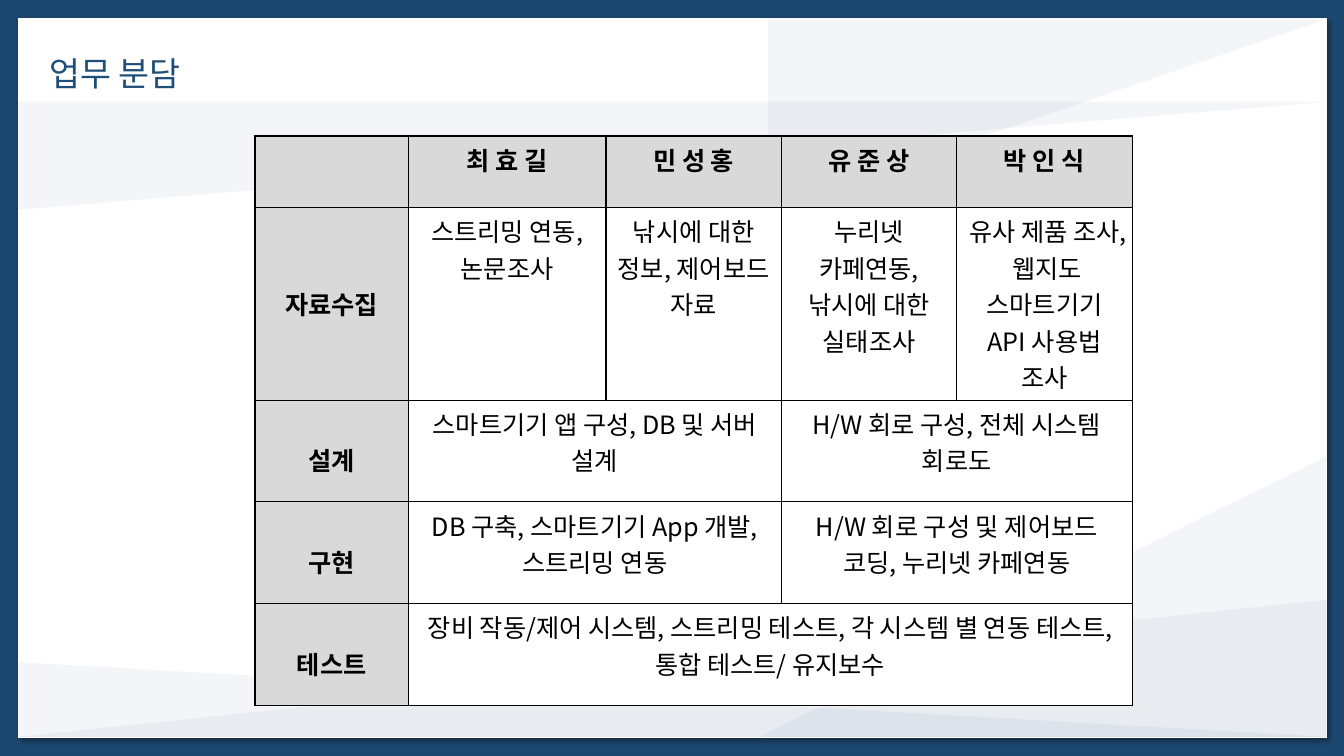
from pptx import Presentation
from pptx.dml.color import RGBColor
from pptx.enum.shapes import MSO_SHAPE as Shape
from pptx.enum.text import MSO_ANCHOR as Anchor, PP_ALIGN as Align
from pptx.oxml import parse_xml
from pptx.oxml.ns import nsdecls, qn
from pptx.util import Inches, Pt

FONT = "Noto Sans CJK KR"
NAVY = "1F4E79"


def paint(color_owner, color):
    if hasattr(color_owner, "solid"):
        color_owner.solid()
        color_owner = color_owner.fore_color
    color_owner.rgb = RGBColor.from_string(color)


def format_text(text_frame, size, color, bold, align):
    for paragraph in text_frame.paragraphs:
        paragraph.alignment = align
        for run in paragraph.runs:
            run.font.size = Pt(size)
            run.font.bold = bold
            run.font.name = FONT
            paint(run.font.color, color)
            run.font._element.append(
                parse_xml(f'<a:ea {nsdecls("a")} typeface="{FONT}"/>'))


presentation = Presentation()
presentation.slide_width = Inches(13.33)
presentation.slide_height = Inches(7.5)
slide = presentation.slides.add_slide(presentation.slide_layouts[5])
paint(slide.background.fill, "1C476E")

panel = slide.shapes.add_shape(
    Shape.RECTANGLE, Inches(0.18), Inches(0.18), Inches(12.98), Inches(7.14))
paint(panel.fill, "FFFFFF")
panel.line.fill.background()
panel.shadow.inherit = False
panel.element.spPr.find(qn("a:effectLst")).append(parse_xml(
    f'<a:outerShdw {nsdecls("a")} blurRad="50800" dist="38100" dir="2700000" '
    'algn="tl" rotWithShape="0"><a:srgbClr val="000000">'
    '<a:alpha val="40000"/></a:srgbClr></a:outerShdw>'))

triangles = [
    (0.18, 5.95, 12.98, 1.36, 0, ["flipH"]),
    (7.53, 4.53, 5.62, 2.78, 0, ["flipH"]),
    (0.18, 1.01, 12.98, 1.07, 180, ["flipH"]),
    (7.62, 0.19, 5.54, 1.89, 180, ["flipH"]),
    (0.18, 6.57, 12.98, 0.74, 180, ["flipH", "flipV"]),
]
for left, top, width, height, rotation, flips in triangles:
    triangle = slide.shapes.add_shape(
        Shape.RIGHT_TRIANGLE, Inches(left), Inches(top), Inches(width), Inches(height))
    triangle.rotation = rotation
    triangle.shadow.inherit = False
    triangle.line.fill.background()
    paint(triangle.fill, NAVY)
    properties = triangle.element.spPr
    for flip in flips:
        properties.find(qn("a:xfrm")).set(flip, "1")
    properties.find(qn("a:solidFill"))[0].append(
        parse_xml(f'<a:alpha {nsdecls("a")} val="5000"/>'))

title = slide.shapes.title
title.left, title.top = Inches(0.39), Inches(0.47)
title.width, title.height = Inches(1.66), Inches(0.5)
title.text_frame.text = "업무 분담"
title.text_frame.word_wrap = False
title.text_frame.vertical_anchor = Anchor.TOP
format_text(title.text_frame, 24, NAVY, False, Align.LEFT)
title.element.getparent().append(title.element)

column_widths = [1.52, 1.96, 1.74, 1.74, 1.74]
row_heights = [0.71, 1.61, 1.01, 1.01, 1.01]
label_margins = [0.05, 0.77, 0.41, 0.41, 0.41]
rows = [
    ["", "최 효 길", "민 성 홍", "유 준 상", "박 인 식"],
    ["자료수집", "스트리밍 연동, 논문조사", "낚시에 대한 정보, 제어보드 자료",
     "누리넷 카페연동, 낚시에 대한 실태조사", "유사 제품 조사, 웹지도 스마트기기 API 사용법 조사"],
    ["설계", "스마트기기 앱 구성, DB 및 서버 설계", "",
     "H/W 회로 구성, 전체 시스템 회로도", ""],
    ["구현", "DB 구축, 스마트기기 App 개발, 스트리밍 연동", "",
     "H/W 회로 구성 및 제어보드 코딩, 누리넷 카페연동", ""],
    ["테스트", "장비 작동/제어 시스템, 스트리밍 테스트, 각 시스템 별 연동 테스트, 통합 테스트/ 유지보수",
     "", "", ""],
]
table = slide.shapes.add_table(
    len(rows), len(column_widths), Inches(2.53), Inches(1.35),
    Inches(sum(column_widths)), Inches(sum(row_heights))).table
table.first_row = False
table.horz_banding = False
for column, width in zip(table.columns, column_widths):
    column.width = Inches(width)
for row, height in zip(table.rows, row_heights):
    row.height = Inches(height)

for row_index, texts in enumerate(rows):
    for column_index, text in enumerate(texts):
        cell = table.cell(row_index, column_index)
        is_header = row_index == 0 or column_index == 0
        cell.text_frame.text = text
        format_text(cell.text_frame, 18, "000000", is_header, Align.CENTER)
        if column_index == 0:
            cell.margin_top = Inches(label_margins[row_index])
        paint(cell.fill, "D9D9D9" if is_header else "FFFFFF")
        for position, side in enumerate(["lnL", "lnR", "lnT", "lnB"]):
            cell._tc.tcPr.insert(position, parse_xml(
                f'<a:{side} {nsdecls("a")} w="12700"><a:solidFill>'
                f'<a:srgbClr val="000000"/></a:solidFill></a:{side}>'))

for row_index, first, last in [(2, 1, 2), (2, 3, 4), (3, 1, 2), (3, 3, 4), (4, 1, 4)]:
    table.cell(row_index, first).merge(table.cell(row_index, last))

presentation.save("out.pptx")
